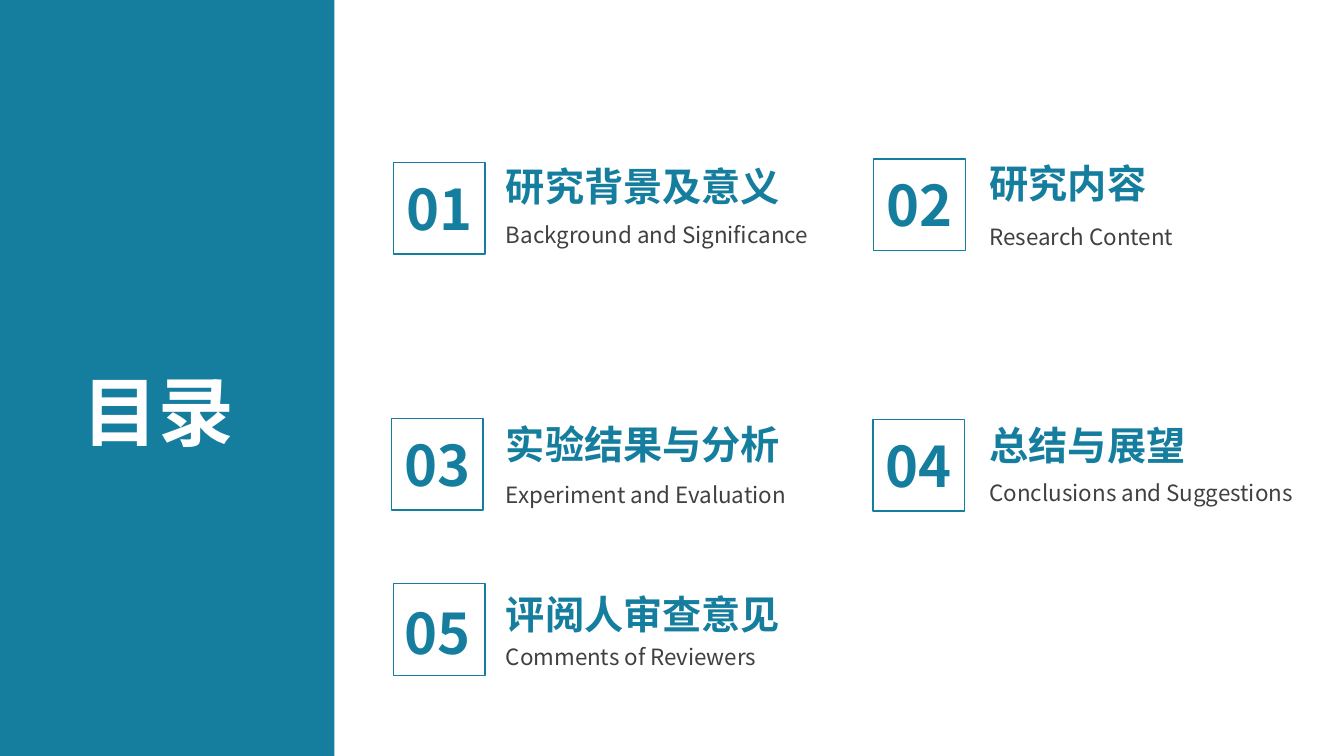
import dataclasses

import lxml.etree
import pptx
import pptx.dml.color
import pptx.enum.shapes
import pptx.enum.text
import pptx.oxml.ns
import pptx.util
from pptx.util import Cm

FONT = "Noto Sans CJK SC"
TEAL = "157E9F"
GREY = "404040"
WHITE = "FFFFFF"
BOX_SIZE = 2.31


@dataclasses.dataclass
class Chapter:
    """One contents entry, with places in centimetres."""

    title: str
    caption: str
    box: tuple
    number: tuple
    text_left: float
    title_top: float
    title_width: float
    caption_top: float
    caption_width: float


CHAPTERS = [
    Chapter("研究背景及意义", "Background and Significance",
            (9.91, 4.09), (9.91, 4.27), 12.5, 3.96, 7.47, 5.44, 8.66),
    Chapter("研究内容", "Research Content",
            (22.02, 4.01), (22.02, 4.17), 24.69, 3.89, 7.59, 5.49, 9.17),
    Chapter("实验结果与分析", "Experiment and Evaluation",
            (9.86, 10.54), (9.86, 10.72), 12.5, 10.46, 7.75, 11.99, 8.66),
    Chapter("总结与展望", "Conclusions and Suggestions",
            (22, 10.57), (22, 10.74), 24.69, 10.49, 6.32, 11.96, 9.17),
    Chapter("评阅人审查意见", "Comments of Reviewers",
            (9.91, 14.71), (9.86, 14.96), 12.5, 14.76, 7.75, 16.08, 8.66),
]


def color(value):
    """Return the colour for a hex string."""
    return pptx.dml.color.RGBColor.from_string(value)


def add_rectangle(slide, left, top, width, height, fill=None, line=None):
    """Add a rectangle with an optional fill and outline."""
    shape = slide.shapes.add_shape(
        pptx.enum.shapes.MSO_SHAPE.RECTANGLE,
        Cm(left), Cm(top), Cm(width), Cm(height))
    shape.shadow.inherit = False
    if fill:
        shape.fill.solid()
        shape.fill.fore_color.rgb = color(fill)
    else:
        shape.fill.background()
    if line:
        shape.line.color.rgb = color(line)
        shape.line.width = pptx.util.Pt(1)
    else:
        shape.line.fill.background()


def add_text(slide, text, left, top, width, height, size, text_color,
             bold=True, centered=False, wrap=True):
    """Add a text box holding one paragraph."""
    box = slide.shapes.add_textbox(Cm(left), Cm(top), Cm(width), Cm(height))
    frame = box.text_frame
    frame.word_wrap = wrap
    frame.auto_size = pptx.enum.text.MSO_AUTO_SIZE.SHAPE_TO_FIT_TEXT
    paragraph = frame.paragraphs[0]
    paragraph.text = text
    if centered:
        paragraph.alignment = pptx.enum.text.PP_ALIGN.CENTER
    font = paragraph.font
    font.name = FONT
    font.size = pptx.util.Pt(size)
    font.bold = bold
    font.color.rgb = color(text_color)
    properties = paragraph._p.pPr.find(pptx.oxml.ns.qn("a:defRPr"))
    east_asian = lxml.etree.SubElement(properties, pptx.oxml.ns.qn("a:ea"))
    east_asian.set("typeface", FONT)


def add_chapter(slide, number, chapter):
    """Add a boxed number with its title and caption."""
    add_rectangle(slide, *chapter.box, BOX_SIZE, BOX_SIZE, line=TEAL)
    add_text(slide, f"{number:02d}", *chapter.number, BOX_SIZE, 1.96,
             40, TEAL, centered=True)
    add_text(slide, chapter.title, chapter.text_left, chapter.title_top,
             chapter.title_width, 1.45, 28, TEAL)
    add_text(slide, chapter.caption, chapter.text_left, chapter.caption_top,
             chapter.caption_width, 0.94, 16, GREY, bold=False)


def main():
    """Build the contents slide and save it."""
    presentation = pptx.Presentation()
    presentation.slide_width = Cm(33.87)
    presentation.slide_height = Cm(19.05)
    slide = presentation.slides.add_slide(presentation.slide_layouts[6])
    add_rectangle(slide, 0, 0, 8.43, 19.05, fill=TEAL)
    add_text(slide, "目录", 1.8, 9.07, 4.37, 2.57, 54, WHITE,
             centered=True, wrap=False)
    for number, chapter in enumerate(CHAPTERS, start=1):
        add_chapter(slide, number, chapter)
    presentation.save("out.pptx")


if __name__ == "__main__":
    main()
